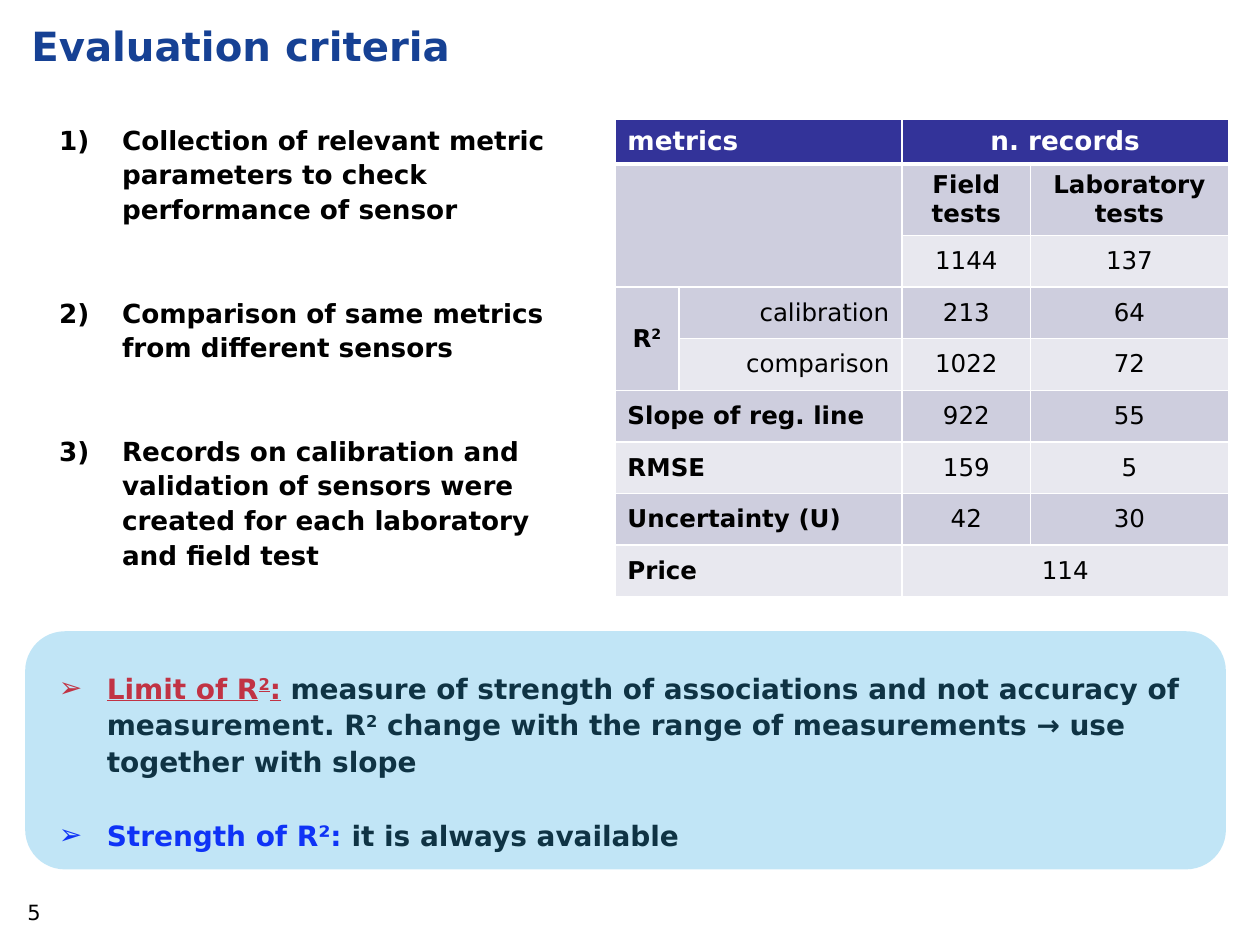
from lxml.etree import SubElement
from pptx import Presentation
from pptx.dml.color import RGBColor as RGB
from pptx.enum.shapes import MSO_SHAPE as SHAPE
from pptx.enum.text import MSO_ANCHOR as ANCHOR, PP_ALIGN as ALIGN
from pptx.oxml.ns import qn
from pptx.util import Inches, Pt

FONT = "DejaVu Sans"
COLORS = {
    "title": "164194", "black": "000000", "white": "FFFFFF",
    "red": "FF0000", "blue": "0000FF", "panel": "33ACE3",
    "head": "333399", "dark": "CECEDE", "light": "E8E8EF",
}
L, C, R = ALIGN.LEFT, ALIGN.CENTER, ALIGN.RIGHT

STEPS = [
    "Collection of relevant metric parameters to check performance of sensor",
    "Comparison of same metrics from different sensors",
    "Records on calibration and validation of sensors were created "
    "for each laboratory and field test",
]
WIDTHS = [0.51, 1.77, 1.02, 1.57]
HEIGHTS = [0.34, 0.56] + [0.41] * 7
# First row, first column, last row, last column
MERGES = [(0, 0, 0, 1), (0, 2, 0, 3), (1, 0, 2, 1), (3, 0, 4, 0),
          (8, 2, 8, 3)] + [(row, 0, row, 1) for row in range(5, 9)]
ROWS = [
    ["metrics", "", "n. records", ""],
    ["", "", "Field tests", "Laboratory tests"],
    ["", "", "1144", "137"],
    ["R^2^", "calibration", "213", "64"],
    ["", "comparison", "1022", "72"],
    ["Slope of reg. line", "", "922", "55"],
    ["RMSE", "", "159", "5"],
    ["Uncertainty (U)", "", "42", "30"],
    ["Price", "", "114", ""],
]


def color(name):
    return RGB.from_string(COLORS[name])


def text(par, words, size=15, fill="black", bold=True, line=False):
    """Add runs to a paragraph; parts between carets are superscript."""
    for i, part in enumerate(words.split("^")):
        if not part:
            continue
        run = par.add_run()
        run.text = part
        font = run.font
        font.name, font.size, font.bold = FONT, Pt(size), bold
        font.underline = line
        font.color.rgb = color(fill)
        if i % 2:
            run._r.get_or_add_rPr().set("baseline", "30000")


def box(slide, x, y, w, h):
    frame = slide.shapes.add_textbox(*map(Inches, (x, y, w, h))).text_frame
    frame.word_wrap = True
    return frame


def item(frame, tag, indent, gap=0, **mark):
    """Return a new bulleted paragraph with a hanging indent."""
    par = frame.paragraphs[0]
    if par.runs:
        par = frame.add_paragraph()
        par.space_before = Pt(gap)
    par.line_spacing = 1.1
    props = par._p.get_or_add_pPr()
    props.set("marL", str(Inches(indent)))
    props.set("indent", str(-Inches(indent)))
    SubElement(props, qn("a:buFont"), typeface=FONT)
    SubElement(props, qn(tag), **mark)
    return par


def border(cell, side, width):
    line = SubElement(cell._tc.get_or_add_tcPr(), qn("a:ln" + side),
                      w=str(Pt(width)))
    fill = SubElement(line, qn("a:solidFill"))
    SubElement(fill, qn("a:srgbClr"), val=COLORS["white"])


def style(cell, row, col, words):
    for side in "LRTB":
        thick = (row, side) in ((0, "B"), (1, "T"))
        border(cell, side, 3 if thick else 1)
    cell.fill.solid()
    band = "head" if row == 0 else "dark" if row % 2 else "light"
    cell.fill.fore_color.rgb = color(band)
    cell.vertical_anchor = ANCHOR.MIDDLE
    if not words:
        return
    par = cell.text_frame.paragraphs[0]
    par.alignment = [C if row == 3 else L, R, C, C][col]
    text(par, words, size=14 if row else 15, bold=row < 2 or col == 0,
         fill="black" if row else "white")


def table(slide):
    grid = slide.shapes.add_table(
        len(ROWS), len(WIDTHS), Inches(4.88), Inches(0.95),
        Inches(sum(WIDTHS)), Inches(sum(HEIGHTS))).table
    grid.horz_banding = False
    for col, width in zip(grid.columns, WIDTHS):
        col.width = Inches(width)
    for row, height in zip(grid.rows, HEIGHTS):
        row.height = Inches(height)
    for top, left, end, right in MERGES:
        grid.cell(top, left).merge(grid.cell(end, right))
    for i, row in enumerate(ROWS):
        for j, words in enumerate(row):
            style(grid.cell(i, j), i, j, words)


def panel(slide):
    shape = slide.shapes.add_shape(
        SHAPE.ROUNDED_RECTANGLE, *map(Inches, (0.2, 5.01, 9.53, 1.89)))
    shape.shadow.inherit = False
    shape.line.fill.background()
    shape.fill.solid()
    shape.fill.fore_color.rgb = color("panel")
    tint = shape._element.spPr.find(qn("a:solidFill"))[0]
    SubElement(tint, qn("a:alpha"), val="30000")


def main():
    deck = Presentation()
    deck.slide_width, deck.slide_height = Inches(10), Inches(7.5)
    slide = deck.slides.add_slide(deck.slide_layouts[6])

    # Slide number
    foot = box(slide, 0.12, 7.04, 2.33, 0.4)
    foot.vertical_anchor = ANCHOR.MIDDLE
    foot.margin_top = foot.margin_bottom = 0
    text(foot.paragraphs[0], "5", size=12, bold=False)

    table(slide)

    # Title
    head = box(slide, 0.15, 0.08, 3.62, 0.53).paragraphs[0]
    head.line_spacing = 1.1
    text(head, "Evaluation criteria", size=23, fill="title")

    # Numbered steps
    steps = box(slide, 0.37, 0.91, 4.32, 3.71)
    for words in STEPS:
        par = item(steps, "a:buAutoNum", 0.5, gap=39.4, type="arabicParenR")
        text(par, words)

    # Notes on R2, below the tinted panel
    notes = box(slide, 0.37, 5.25, 9.13, 1.58)
    par = item(notes, "a:buChar", 0.38, char="➢")
    text(par, "Limit of R^2^:", size=16, fill="red", line=True)
    text(par, " measure of strength of associations and not accuracy of "
         "measurement. R^2^ change with the range of measurements → use "
         "together with slope", size=16)
    par = item(notes, "a:buChar", 0.38, gap=21, char="➢")
    text(par, "Strength of R²: ", size=16, fill="blue")
    text(par, "it is always available", size=16)
    panel(slide)

    deck.save("out.pptx")


main()
